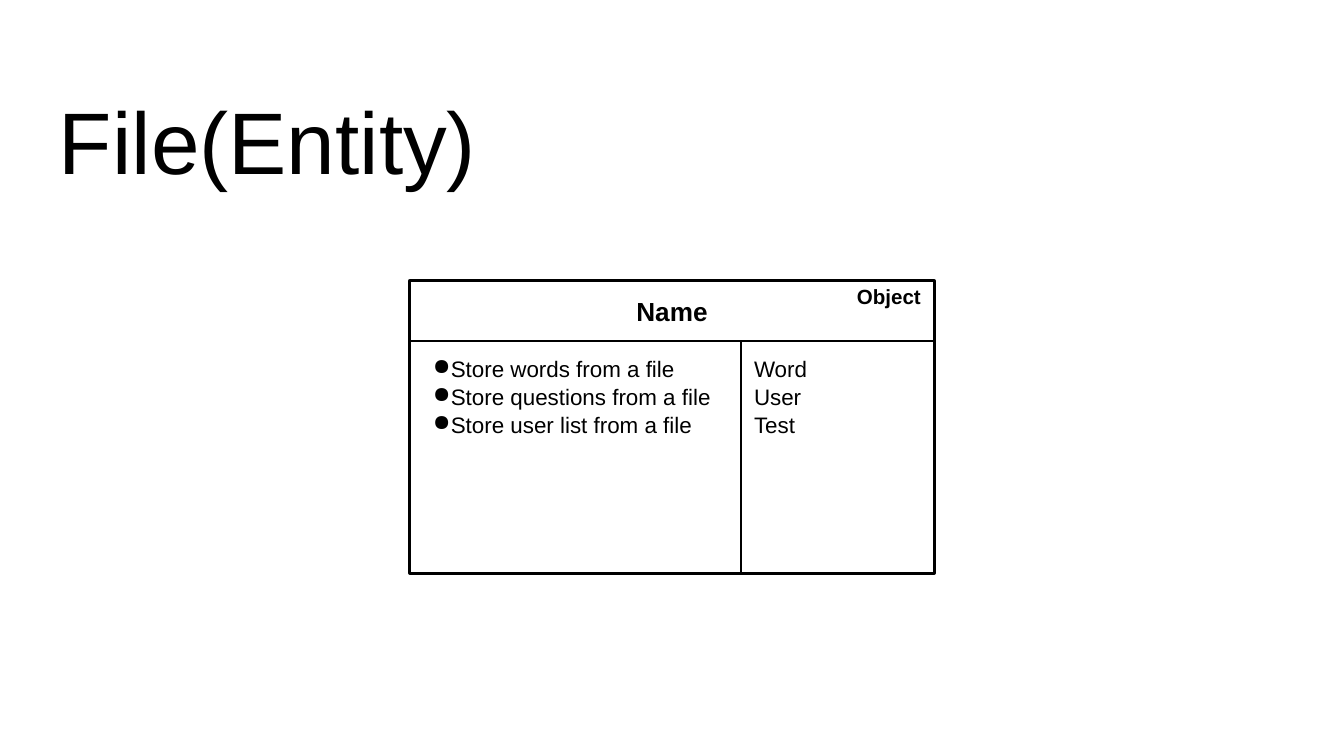
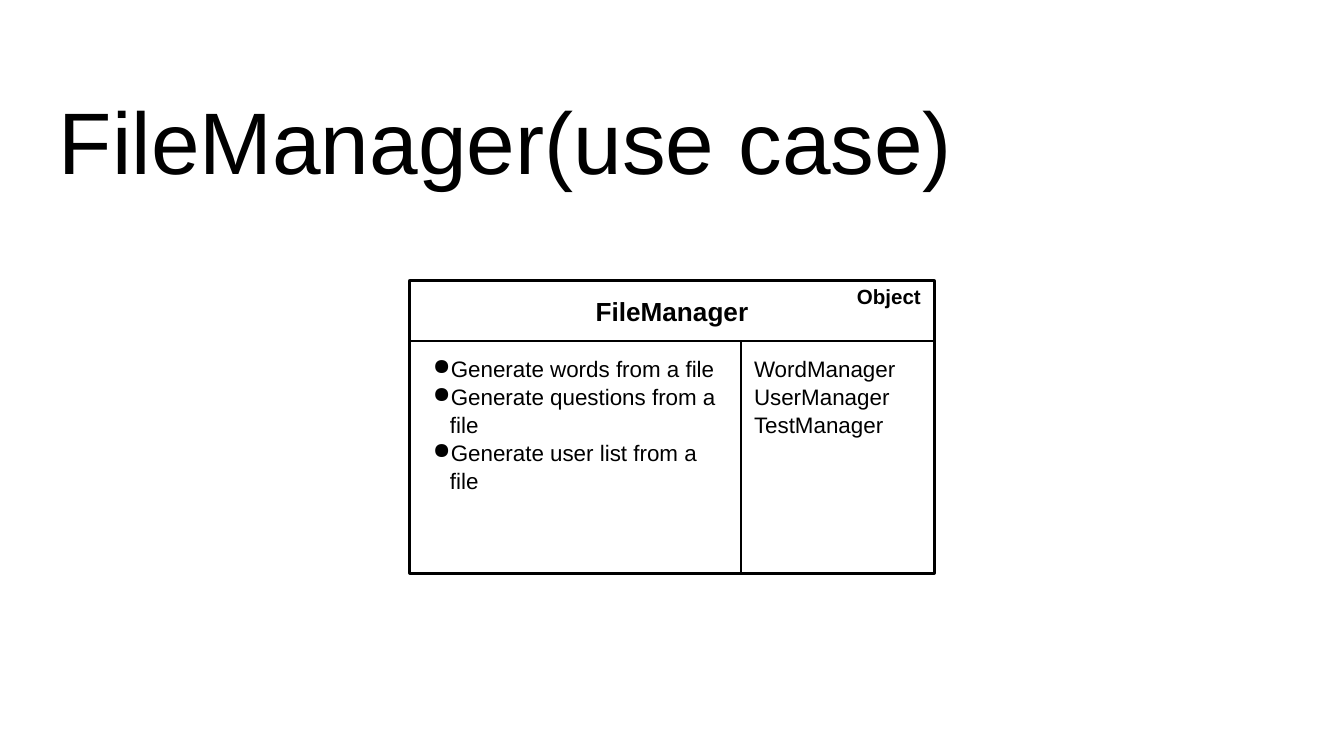
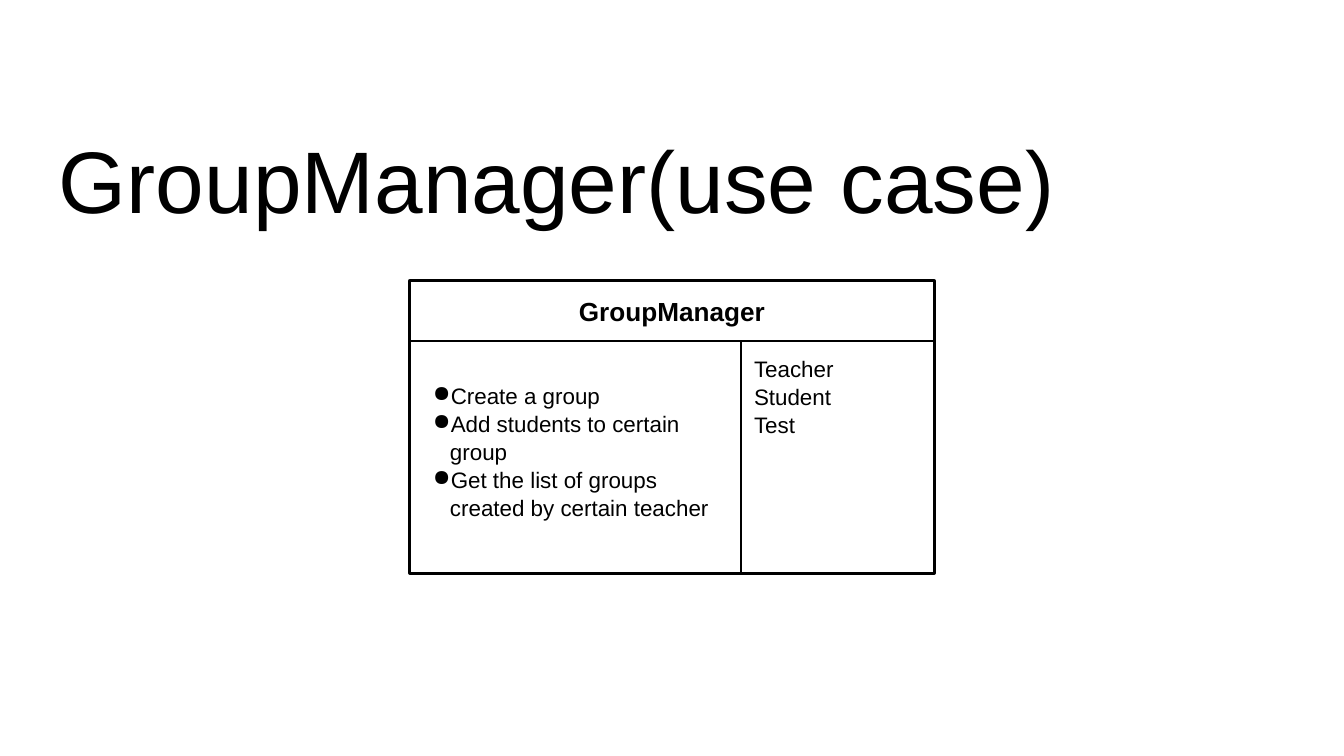
from pptx import Presentation
from pptx import util as u
from pptx.dml.color import RGBColor
from pptx.enum import shapes, text
from pptx.oxml.ns import qn
from lxml import etree

SCALE = 914400 / 134.4
COLOURS = {"ink": "000000", "paper": "FFFFFF"}
FONT = "Arial"
INSET = 13
LINE_PITCH = 27

# Card geometry
LEFT, TOP, WIDTH, HEIGHT = 410, 281, 524, 292
HEADER = 60
DUTIES_WIDTH = 331
LABEL_HEIGHT = 31


def px(length):
    return u.Emu(round(length * SCALE))


def colour(name):
    return RGBColor.from_string(COLOURS[name])


class Deck:
    def __init__(self):
        self.presentation = Presentation()
        self.presentation.slide_width = px(1344)
        self.presentation.slide_height = px(756)
        self.slide = None
        self.group = None

    def add_slide(self, title, top):
        layout = self.presentation.slide_layouts[5]
        self.slide = self.presentation.slides.add_slide(layout)
        shape = self.slide.shapes.title
        shape.left, shape.top, shape.width, shape.height = map(px, (46, top, 1253, 85))
        self.set_text(shape, [title], 46.8, spacing=1.08)

    def set_text(self, shape, lines, size, bold=False, align=text.PP_ALIGN.LEFT,
                 anchor=text.MSO_ANCHOR.TOP, spacing=1.0, bullets=False, skip=0):
        frame = shape.text_frame
        frame.word_wrap = True
        frame.auto_size = text.MSO_AUTO_SIZE.NONE
        frame.vertical_anchor = anchor
        frame.margin_left = frame.margin_right = frame.margin_bottom = px(INSET)
        frame.margin_top = px(INSET + skip * LINE_PITCH)
        frame.text = "\n".join(lines)
        for paragraph in frame.paragraphs:
            paragraph.alignment = align
            paragraph.line_spacing = spacing
            font = paragraph.font
            font.name, font.size, font.bold = FONT, u.Pt(size), bold
            font.color.rgb = colour("ink")
            if bullets:
                self.bullet(paragraph)

    def bullet(self, paragraph):
        properties = paragraph._p.get_or_add_pPr()
        properties.set("marL", str(px(27)))
        properties.set("indent", str(px(-17)))
        mark = etree.Element(qn("a:buChar"), char="●")
        properties.find(qn("a:defRPr")).addprevious(mark)

    def box(self, left, top, width, height, line=1.5):
        shape = self.group.shapes.add_shape(
            shapes.MSO_SHAPE.RECTANGLE, *map(px, (left, top, width, height)))
        shape.shadow.inherit = False
        shape.fill.solid()
        shape.fill.fore_color.rgb = colour("paper")
        shape.line.color.rgb = colour("ink")
        shape.line.width = u.Pt(line)
        return shape

    def label(self, wording, left, top, width, height):
        shape = self.group.shapes.add_textbox(*map(px, (left, top, width, height)))
        self.set_text(shape, [wording], 11, bold=True, align=text.PP_ALIGN.RIGHT,
                      anchor=text.MSO_ANCHOR.MIDDLE)

    def card(self, name, duties, partners, kind=None, skip=0):
        self.group = self.slide.shapes.add_group_shape()
        split, body = LEFT + DUTIES_WIDTH, TOP + HEADER
        partners_width = WIDTH - DUTIES_WIDTH
        body_height = HEIGHT - HEADER

        # Frame and header
        self.box(LEFT, TOP, WIDTH, HEIGHT, line=2.25)
        header = self.box(LEFT, TOP, WIDTH, HEADER)
        self.set_text(header, [name], 14, bold=True, align=text.PP_ALIGN.CENTER,
                      anchor=text.MSO_ANCHOR.MIDDLE)
        if kind:
            self.label(kind, split, TOP, partners_width, LABEL_HEIGHT)

        # Responsibilities and collaborators
        left = self.box(LEFT, body, DUTIES_WIDTH, body_height)
        self.set_text(left, duties, 12, spacing=1.04, bullets=True, skip=skip)
        right = self.box(split, body, partners_width, body_height)
        self.set_text(right, partners, 12, spacing=1.04)


deck = Deck()

# File entity
deck.add_slide("File(Entity)", 66)
deck.card("Name",
          ["Store words from a file", "Store questions from a file",
           "Store user list from a file"],
          ["Word", "User", "Test"], kind="Object")

# File manager
deck.add_slide("FileManager(use case)", 66)
deck.card("FileManager",
          ["Generate words from a file", "Generate questions from a file",
           "Generate user list from a file"],
          ["WordManager", "UserManager", "TestManager"], kind="Object")

# Group manager, its duties one line lower
deck.add_slide("GroupManager(use case)", 105)
deck.card("GroupManager",
          ["Create a group", "Add students to certain group",
           "Get the list of groups created by certain teacher"],
          ["Teacher", "Student", "Test"], skip=1)

deck.presentation.save("out.pptx")
